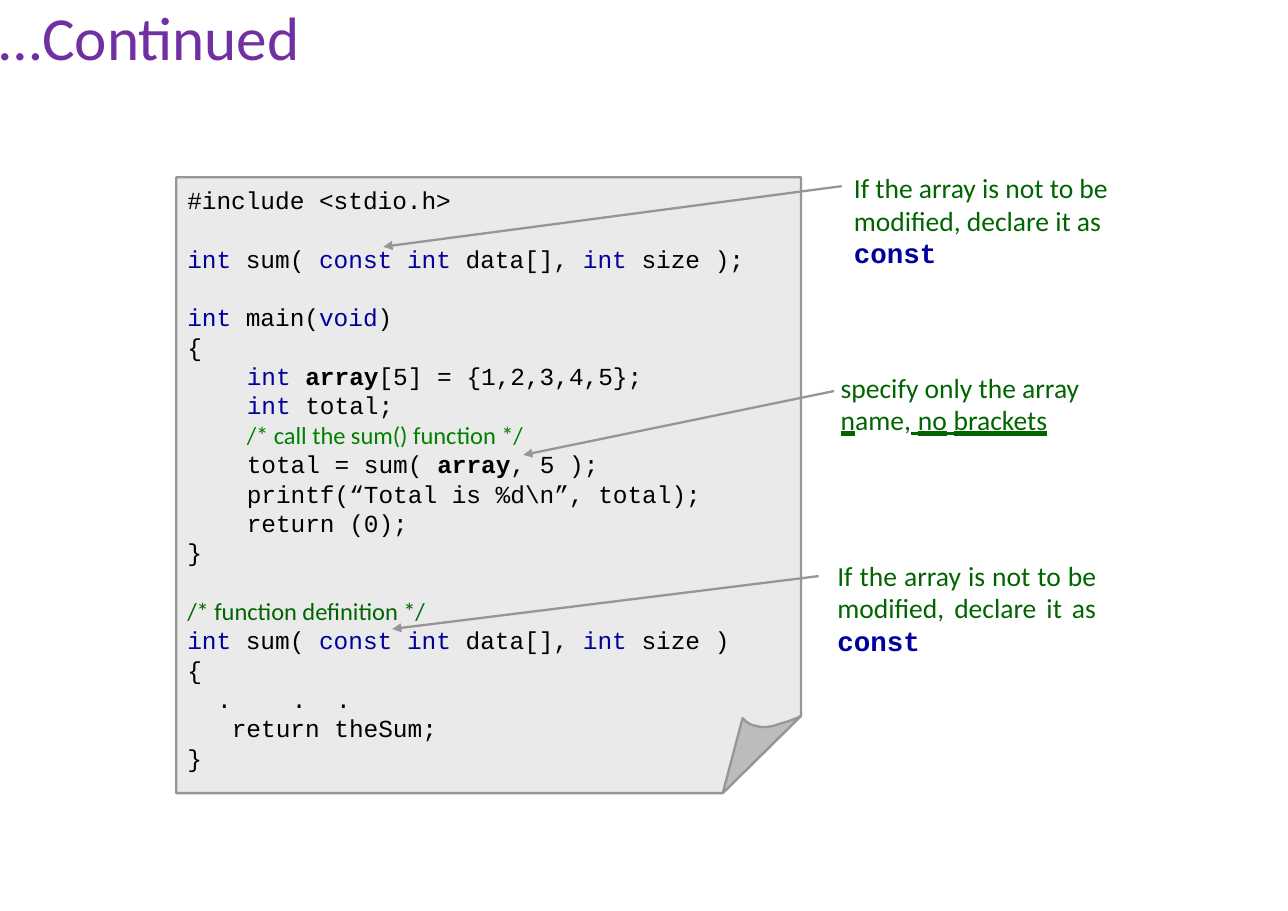
from pptx import Presentation, util as u
from pptx.dml.color import RGBColor
from pptx.enum import shapes, text
from pptx.oxml import ns
from lxml import etree

GREY = "969696"
PITCH = 19.2
CHAR = 0.135
MONO, SANS, SERIF = "Courier New", "Calibri", "Times New Roman"
STYLES = {
    "title": (SANS, 40, "7030A0", False, False),
    "code": (MONO, 16, "000000", False, False),
    "key": (MONO, 16, "00009A", False, False),
    "bold": (MONO, 16, "000000", True, False),
    "call": (SANS, 16, "008000", False, False),
    "def": (SANS, 16, "006500", False, False),
    "note": (SANS, 18, "006500", False, False),
    "line": (SANS, 18, "006500", False, True),
    "gap": (SERIF, 18, "006500", False, True),
    "const": (MONO, 18, "00009A", True, False),
}


def paint(code):
    return RGBColor.from_string(code)


class Page:
    """Draws styled text, outlines and arrows on one slide."""

    def __init__(self, deck):
        self.slide = deck.slides.add_slide(deck.slide_layouts[6])
        self.shapes = self.slide.shapes

    def text(self, x, y, w, h, lines, pitch=None, align=None):
        box = self.shapes.add_textbox(*map(u.Inches, (x, y, w, h)))
        frame = box.text_frame
        frame.word_wrap = True
        frame.margin_left = frame.margin_right = 0
        frame.margin_top = frame.margin_bottom = 0
        for i, (skip, indent, runs) in enumerate(lines):
            para = frame.add_paragraph() if i else frame.paragraphs[0]
            para.alignment = align
            if pitch:
                para.line_spacing = u.Pt(pitch)
                para.space_before = u.Pt(skip * pitch)
            para._p.get_or_add_pPr().set("marL", str(u.Inches(indent)))
            for words, style in runs:
                self.run(para, words, style)
        return frame

    def run(self, para, words, style):
        run = para.add_run()
        run.text = words
        font = run.font
        font.name, size, color, font.bold, lined = STYLES[style]
        font.size = u.Pt(size)
        font.color.rgb = paint(color)
        if lined:
            font.underline = text.MSO_UNDERLINE.HEAVY_LINE

    def tabs(self, para, stops):
        stem = etree.SubElement(para._p.get_or_add_pPr(), ns.qn("a:tabLst"))
        for stop in stops:
            etree.SubElement(stem, ns.qn("a:tab"),
                             pos=str(u.Inches(stop)), algn="l")

    def outline(self, points, fill):
        first, *rest = [tuple(map(u.Inches, point)) for point in points]
        pen = self.shapes.build_freeform(*first)
        pen.add_line_segments(rest, close=True)
        shape = pen.convert_to_shape()
        shape.shadow.inherit = False
        shape.fill.solid()
        shape.fill.fore_color.rgb = paint(fill)
        shape.line.color.rgb = paint(GREY)
        shape.line.width = u.Pt(1.5)

    def arrow(self, *ends):
        link = self.shapes.add_connector(
            shapes.MSO_CONNECTOR.STRAIGHT, *map(u.Inches, ends))
        link.line.color.rgb = paint(GREY)
        link.line.width = u.Pt(1.5)
        etree.SubElement(link.line._get_or_add_ln(), ns.qn("a:tailEnd"),
                         type="triangle", w="med", len="med")
        etree.SubElement(link._element.spPr, ns.qn("a:effectLst"))


def main():
    deck = Presentation()
    deck.slide_width, deck.slide_height = u.Inches(11.69), u.Inches(8.27)
    page = Page(deck)
    page.text(0, -0.01, 5.37, 0.67, [(0, 0, [("…Continued", "title")])])

    page.outline([(1.6, 1.61), (7.27, 1.61), (7.27, 6.5),
                  (6.56, 7.2), (1.6, 7.2)], "EAEAEA")
    page.outline([(6.56, 7.2), (6.74, 6.52), (6.77, 6.55), (6.82, 6.58),
                  (6.86, 6.59), (6.91, 6.6), (6.96, 6.6), (7.02, 6.59),
                  (7.08, 6.57), (7.15, 6.55), (7.23, 6.52), (7.27, 6.5)],
                 "BCBCBC")

    head = [("int ", "key"), ("sum( ", "code"), ("const int ", "key"),
            ("data[], ", "code"), ("int ", "key")]
    code = [
        (0, 0, [("#include <stdio.h>", "code")]),
        (1, 0, head + [("size );", "code")]),
        (1, 0, [("int ", "key"), ("main(", "code"), ("void", "key"),
                (")", "code")]),
        (0, 0, [("{", "code")]),
        (0, 4, [("int ", "key"), ("array", "bold"),
                ("[5] = {1,2,3,4,5};", "code")]),
        (0, 4, [("int ", "key"), ("total;", "code")]),
        (0, 4, [("/* call the sum() function */", "call")]),
        (0, 4, [("total = sum( ", "code"), ("array", "bold"),
                (", 5 );", "code")]),
        (0, 4, [(r"printf(“Total is %d\n”, total);", "code")]),
        (0, 4, [("return (0);", "code")]),
        (0, 0, [("}", "code")]),
        (1, 0, [("/* function definition */", "def")]),
        (0, 0, head + [("size )", "code")]),
        (0, 0, [("{", "code")]),
        (0, 2, [(".\t.\t.", "code")]),
        (0, 3, [("return theSum;", "code")]),
        (0, 0, [("}", "code")]),
    ]
    lines = [(skip, chars * CHAR, runs) for skip, chars, runs in code]
    frame = page.text(1.7, 1.68, 5.5, 5.4, lines, PITCH)
    page.tabs(frame.paragraphs[14], (0.68, 1.08))

    const = [(0, 0, [("If the array is not to be modified, declare it as ",
                      "note"), ("const", "const")])]
    name = [(0, 0, [("specify only the array ", "note"), ("n", "line"),
                    ("ame,", "note"), (" ", "gap"), ("no", "line"),
                    (" ", "gap"), ("brackets", "line")])]
    page.text(7.75, 1.56, 2.35, 0.87, const, 21.2)
    page.text(7.63, 3.37, 2.25, 0.58, name, 21.2)
    page.text(7.6, 5.08, 2.35, 0.87, const, 21.2, text.PP_ALIGN.JUSTIFY)

    page.arrow(7.64, 1.69, 3.48, 2.24)
    page.arrow(7.57, 3.55, 4.75, 4.13)
    page.arrow(7.43, 5.23, 3.56, 5.71)
    deck.save("out.pptx")


if __name__ == "__main__":
    main()
